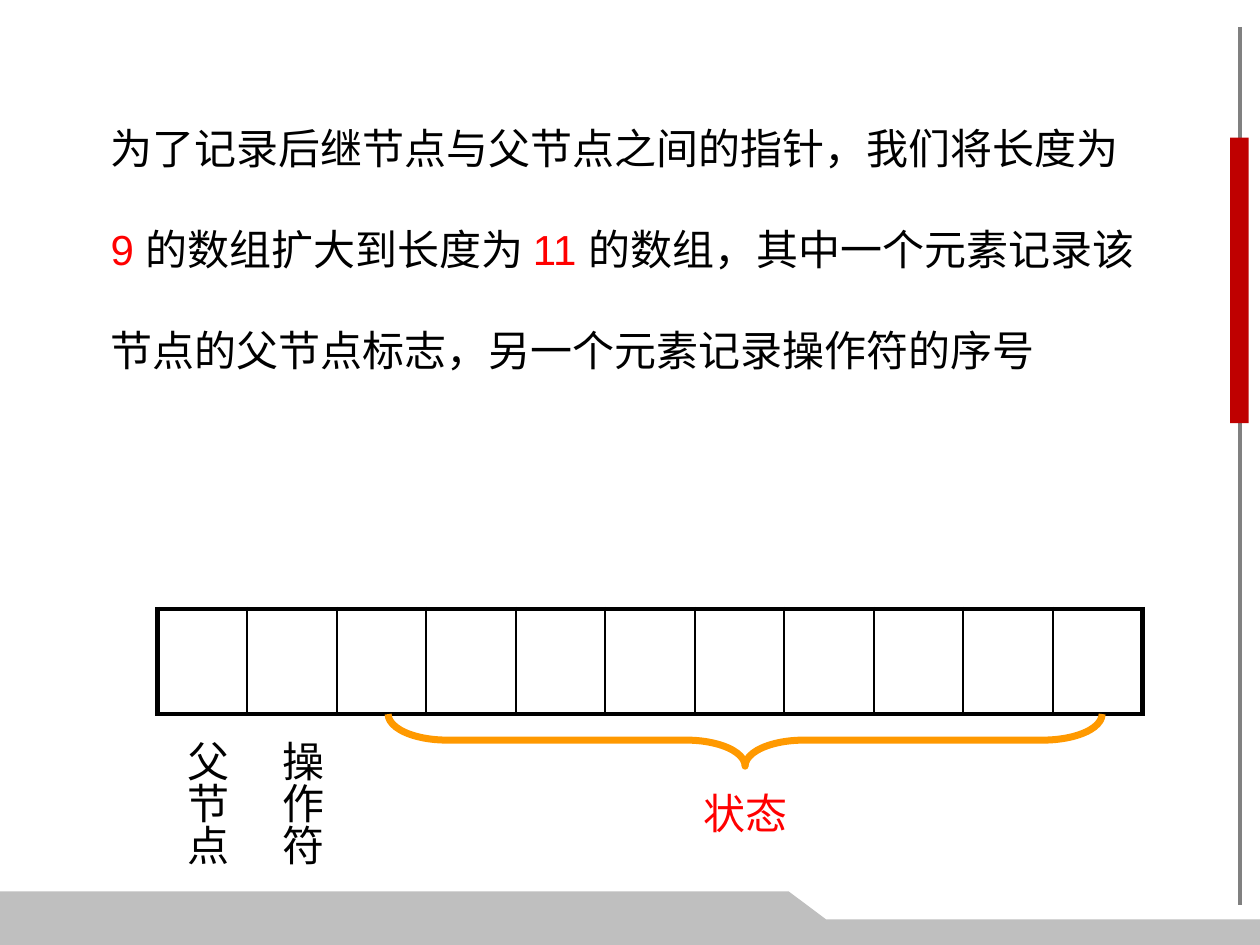
from lxml.etree import SubElement
from pptx import Presentation
from pptx.dml.color import RGBColor
from pptx.enum.shapes import MSO_CONNECTOR, MSO_SHAPE
from pptx.enum.text import PP_ALIGN
from pptx.oxml.ns import qn
from pptx.util import Pt

BLACK = RGBColor(0x00, 0x00, 0x00)
WHITE = RGBColor(0xFF, 0xFF, 0xFF)
RED = RGBColor(0xFF, 0x00, 0x00)
DARK_RED = RGBColor(0xBF, 0x00, 0x00)
ORANGE = RGBColor(0xFF, 0x99, 0x00)
GREY = RGBColor(0x80, 0x80, 0x80)
LIGHT_GREY = RGBColor(0xBF, 0xBF, 0xBF)

TEXT_FORMAT = {"name": "Arial", "size": Pt(18)}
CELLS = 11
CELL_WIDTH = 38.4
THIN, THICK = 1, 2.25


def add_text(s, box, runs, vertical=False, **paragraph_format):
    tf = s.shapes.add_textbox(*map(Pt, box)).text_frame
    tf.word_wrap = True
    if vertical:
        tf._txBody.bodyPr.set("vert", "eaVert")
    p = tf.paragraphs[0]
    for key, value in paragraph_format.items():
        setattr(p, key, value)
    for text, color in runs:
        r = p.add_run()
        r.text = text
        for key, value in TEXT_FORMAT.items():
            setattr(r.font, key, value)
        r.font.color.rgb = color


def fill_plain(sp, color):
    sp.shadow.inherit = False
    sp.fill.solid()
    sp.fill.fore_color.rgb = color
    sp.line.fill.background()


def add_line(s, start, end, color, width):
    line = s.shapes.add_connector(MSO_CONNECTOR.STRAIGHT, *map(Pt, start + end))
    line.line.color.rgb = color
    line.line.width = Pt(width)
    SubElement(line._element.spPr, qn("a:effectLst"))


def add_polygon(s, points, color):
    builder = s.shapes.build_freeform(*points[0], scale=Pt(1))
    builder.add_line_segments(points[1:], close=True)
    fill_plain(builder.convert_to_shape(), color)


def set_borders(cell, widths):
    tcPr = cell._tc.get_or_add_tcPr()
    for i, (side, width) in enumerate(widths.items()):
        ln = SubElement(tcPr, qn("a:ln" + side), w=str(Pt(width)))
        fill = SubElement(ln, qn("a:solidFill"))
        SubElement(fill, qn("a:srgbClr"), val=str(BLACK))
        tcPr.insert(i, ln)


def add_array(s, left, top, height):
    frame = s.shapes.add_table(1, CELLS, Pt(left), Pt(top),
                               Pt(CELLS * CELL_WIDTH), Pt(height))
    table = frame.table
    table.first_row = table.horz_banding = False
    for i, column in enumerate(table.columns):
        column.width = Pt(CELL_WIDTH)
        cell = table.cell(0, i)
        cell.fill.solid()
        cell.fill.fore_color.rgb = WHITE
        set_borders(cell, {"L": THICK if i == 0 else THIN,
                           "R": THICK if i == CELLS - 1 else THIN,
                           "T": THICK, "B": THICK})


def add_brace(s, box, color, width):
    brace = s.shapes.add_shape(MSO_SHAPE.LEFT_BRACE, *map(Pt, box))
    brace.rotation = 270
    brace.adjustments[0] = 1.13
    brace.shadow.inherit = False
    brace.fill.background()
    brace.line.color.rgb = color
    brace.line.width = Pt(width)


def main():
    prs = Presentation()
    prs.slide_width, prs.slide_height = Pt(540), Pt(405)
    s = prs.slides.add_slide(prs.slide_layouts[6])

    # Frame decoration
    add_line(s, (531.5, 11.5), (531.5, 388), GREY, 1.5)
    add_polygon(s, [(0, 382.5), (337.5, 382.5), (354.5, 393.75),
                    (540, 393.75), (540, 405), (0, 405)], LIGHT_GREY)
    bar = s.shapes.add_shape(MSO_SHAPE.RECTANGLE, Pt(527.2), Pt(59),
                             Pt(8), Pt(122.4))
    fill_plain(bar, DARK_RED)

    # Explanation
    add_text(s, (40.3, 27.4, 454.3, 138.2), [
        ("为了记录后继节点与父节点之间的指针，我们将长度为 ", BLACK),
        ("9", RED),
        (" 的数组扩大到长度为 ", BLACK),
        ("11 ", RED),
        ("的数组，其中一个元素记录该节点的父节点标志，另一个元素记录操作符的序号", BLACK),
    ], line_spacing=2.0)

    # Array and its labels
    add_array(s, 67.5, 261, 45)
    for left, label in ((67, "父节点"), (108, "操作符")):
        add_text(s, (left, 310.3, 36, 76), [(label, BLACK)], vertical=True)
    add_brace(s, (308.2, 164.2, 22.3, 306), ORANGE, 3)
    add_text(s, (290.2, 334.1, 58.3, 28.8), [("状态", RED)],
             alignment=PP_ALIGN.CENTER)

    prs.save("out.pptx")


if __name__ == "__main__":
    main()
